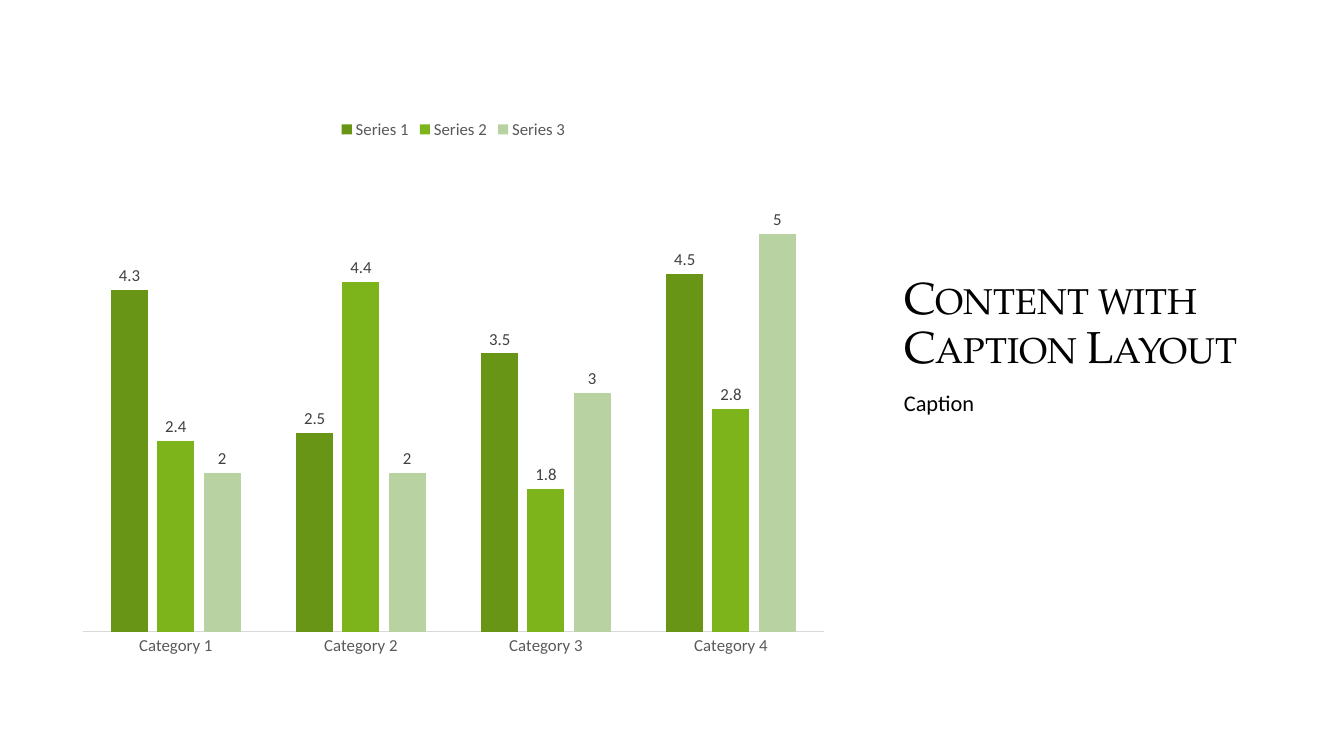
import pptx
import pptx.chart.data
import pptx.dml.color
import pptx.enum.chart
import pptx.enum.text
import pptx.util

RGBColor = pptx.dml.color.RGBColor
BLACK = RGBColor(0x00, 0x00, 0x00)
LABEL_GRAY = RGBColor(0x40, 0x40, 0x40)
AXIS_GRAY = RGBColor(0x59, 0x59, 0x59)
LINE_GRAY = RGBColor(0xD9, 0xD9, 0xD9)
DARK_GREEN = RGBColor(0x68, 0x95, 0x16)
GREEN = RGBColor(0x7D, 0xB4, 0x1B)
PALE_GREEN = RGBColor(0xB9, 0xD2, 0xA2)

HEADING_FONT = "TeX Gyre Pagella"
BODY_FONT = "Calibri"

TITLE = "Content with Caption Layout"
CAPTION = "Caption"
CATEGORIES = ["Category 1", "Category 2", "Category 3", "Category 4"]
SERIES = [
    ("Series 1", (4.3, 2.5, 3.5, 4.5), DARK_GREEN),
    ("Series 2", (2.4, 4.4, 1.8, 2.8), GREEN),
    ("Series 3", (2, 2, 3, 5), PALE_GREEN),
]

# left, top, width, height in px
SLIDE_SIZE = (1344, 756)
TITLE_BOX = (894, 126, 383, 252)
CAPTION_BOX = (894, 387, 383, 232)
CHART_BOX = (68, 108, 771, 559)
PX_PER_INCH = 100.8


def emu(lengths):
    return [pptx.util.Inches(px / PX_PER_INCH) for px in lengths]


def style_font(font, name, size, color):
    font.name = name
    font.size = pptx.util.Pt(size)
    font.bold = False
    font.color.rgb = color


def write_text(frame, text, *, font, size, color=BLACK, anchor="TOP",
               space_before=0, small_caps=False):
    frame.word_wrap = True
    frame.auto_size = pptx.enum.text.MSO_AUTO_SIZE.NONE
    frame.vertical_anchor = pptx.enum.text.MSO_ANCHOR[anchor]
    paragraph = frame.paragraphs[0]
    paragraph.alignment = pptx.enum.text.PP_ALIGN.LEFT
    paragraph.line_spacing = 0.9
    paragraph.space_before = pptx.util.Pt(space_before)
    run = paragraph.add_run()
    run.text = text
    style_font(run.font, font, size, color)
    if small_caps:
        run.font._element.set("cap", "small")


def add_column_chart(slide):
    data = pptx.chart.data.CategoryChartData()
    data.categories = CATEGORIES
    for name, values, _ in SERIES:
        data.add_series(name, values)
    chart = slide.shapes.add_chart(
        pptx.enum.chart.XL_CHART_TYPE.COLUMN_CLUSTERED, *emu(CHART_BOX), data
    ).chart
    chart.has_title = False
    style_font(chart.font, BODY_FONT, 10, BLACK)

    chart.has_legend = True
    chart.legend.position = pptx.enum.chart.XL_LEGEND_POSITION.TOP
    chart.legend.include_in_layout = False
    style_font(chart.legend.font, BODY_FONT, 12, AXIS_GRAY)

    category_axis = chart.category_axis
    category_axis.major_tick_mark = pptx.enum.chart.XL_TICK_MARK.NONE
    category_axis.format.line.color.rgb = LINE_GRAY
    category_axis.format.line.width = pptx.util.Pt(0.75)
    style_font(category_axis.tick_labels.font, BODY_FONT, 12, AXIS_GRAY)

    value_axis = chart.value_axis
    value_axis.visible = False
    value_axis.has_major_gridlines = False
    value_axis.minimum_scale = 0
    value_axis.maximum_scale = 6

    plot = chart.plots[0]
    plot.gap_width = 150
    plot.overlap = -25
    plot.vary_by_categories = False
    for series, (_, _, color) in zip(plot.series, SERIES):
        series.format.fill.solid()
        series.format.fill.fore_color.rgb = color
        series.invert_if_negative = False
        labels = series.data_labels
        labels.show_value = True
        labels.position = pptx.enum.chart.XL_LABEL_POSITION.OUTSIDE_END
        style_font(labels.font, BODY_FONT, 12, LABEL_GRAY)


def main():
    deck = pptx.Presentation()
    deck.slide_width, deck.slide_height = emu(SLIDE_SIZE)
    slide = deck.slides.add_slide(deck.slide_layouts.get_by_name("Title Only"))

    title = slide.shapes.title
    title.left, title.top, title.width, title.height = emu(TITLE_BOX)
    write_text(title.text_frame, TITLE, font=HEADING_FONT, size=32,
               anchor="BOTTOM", small_caps=True)

    add_column_chart(slide)

    caption = slide.shapes.add_textbox(*emu(CAPTION_BOX))
    write_text(caption.text_frame, CAPTION, font=BODY_FONT, size=16,
               space_before=12)

    deck.save("out.pptx")


if __name__ == "__main__":
    main()
